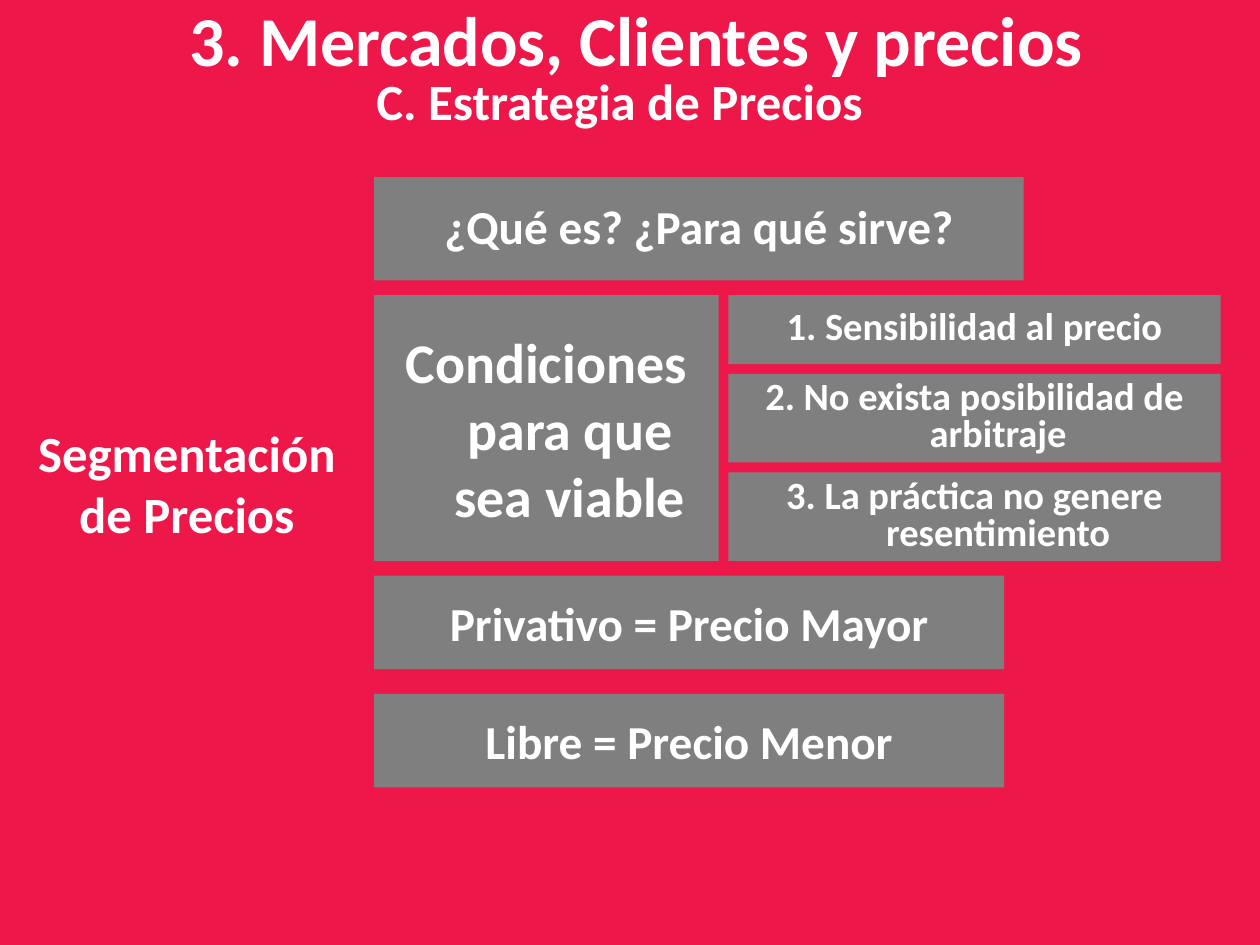
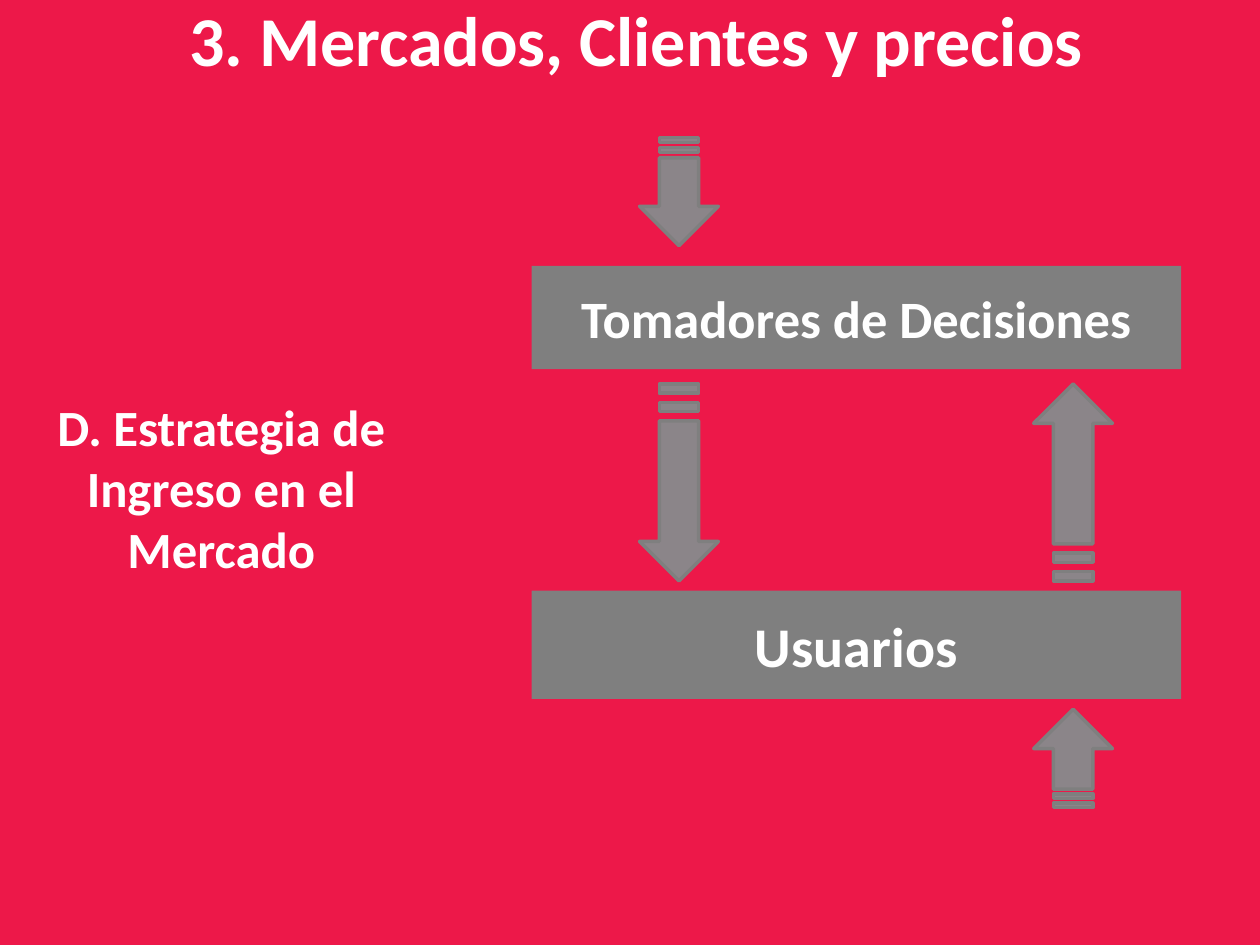
import pptx
import pptx.dml.color
import pptx.enum.shapes
import pptx.enum.text
import pptx.util

Pt = pptx.util.Pt
ANCHOR = pptx.enum.text.MSO_ANCHOR


def color(hex_value):
    return pptx.dml.color.RGBColor.from_string(hex_value)


class Deck:
    FONT = "Calibri"
    BACKGROUND = "ED1849"
    PANEL = "7F7F7F"
    ARROW = "8B8589"
    TEXT = "FFFFFF"
    TITLE_ONLY = 5
    HANGING = 27
    HEAD = 22.5

    def __init__(self):
        self.presentation = pptx.Presentation()
        self.presentation.slide_width = Pt(720)
        self.presentation.slide_height = Pt(540)
        self.paint(self.presentation.slide_master.background.fill, self.BACKGROUND)
        self.slide = None

    def paint(self, fill, hex_value):
        fill.solid()
        fill.fore_color.rgb = color(hex_value)

    def set_text(self, shape, text, size, spacing=1.0, anchor=ANCHOR.MIDDLE):
        frame = shape.text_frame
        frame.text = text
        frame.word_wrap = True
        frame.auto_size = pptx.enum.text.MSO_AUTO_SIZE.NONE
        frame.vertical_anchor = anchor
        paragraph = frame.paragraphs[0]
        paragraph.alignment = pptx.enum.text.PP_ALIGN.CENTER
        paragraph.line_spacing = spacing
        for run in paragraph.runs:
            run.font.name = self.FONT
            run.font.size = Pt(size)
            run.font.bold = True
            run.font.color.rgb = color(self.TEXT)
        return paragraph

    def add_slide(self, title):
        layout = self.presentation.slide_layouts[self.TITLE_ONLY]
        self.slide = self.presentation.slides.add_slide(layout)
        heading = self.slide.shapes.title
        heading.left, heading.top = Pt(39.6), Pt(0)
        heading.width, heading.height = Pt(648), Pt(50.4)
        self.set_text(heading, title, 40, 0.9, ANCHOR.TOP)

    def label(self, text, left, top, width, height, spacing=1.0):
        box = self.slide.shapes.add_textbox(Pt(left), Pt(top), Pt(width), Pt(height))
        self.set_text(box, text, 29, spacing)

    def panel(self, text, left, top, width, height, size, spacing=1.0):
        rectangle = self.slide.shapes.add_shape(
            pptx.enum.shapes.MSO_SHAPE.RECTANGLE,
            Pt(left), Pt(top), Pt(width), Pt(height))
        rectangle.shadow.inherit = False
        self.paint(rectangle.fill, self.PANEL)
        rectangle.line.fill.background()
        paragraph = self.set_text(rectangle, text, size, spacing)
        properties = paragraph._p.get_or_add_pPr()
        properties.set("marL", str(Pt(self.HANGING)))
        properties.set("indent", str(-Pt(self.HANGING)))

    def striped_arrow(self, center, tail, tip):
        stripe = (tip - tail) * 3 / 64
        neck = tip - self.HEAD if tip > tail else tip + self.HEAD
        left, right = center - self.HEAD / 2, center + self.HEAD / 2
        body = tail + 4 * stripe
        contours = [[(center + self.HEAD, neck), (center, tip),
                     (center - self.HEAD, neck), (left, neck),
                     (left, body), (right, body), (right, neck)]]
        for start in (tail, tail + 2 * stripe):
            end = start + stripe
            contours.append([(right, start), (left, start), (left, end), (right, end)])

        builder = None
        for contour in contours:
            first, *rest = [(Pt(x), Pt(y)) for x, y in contour]
            if builder is None:
                builder = self.slide.shapes.build_freeform(*first)
            else:
                builder.move_to(*first)
            builder.add_line_segments(rest, close=True)
        arrow = builder.convert_to_shape()
        arrow.shadow.inherit = False
        self.paint(arrow.fill, self.ARROW)
        arrow.line.color.rgb = color(self.PANEL)
        arrow.line.width = Pt(2)

    def save(self):
        self.presentation.save("out.pptx")


def price_strategy(deck, title):
    deck.add_slide(title)
    deck.label("C. Estrategia de Precios ", 5.8, 39.6, 703.4, 39.6, 0.9)
    deck.label("Segmentación de Precios", 0, 213.8, 213.8, 123.8)

    column, conditions_top = 213.8, 168.7
    deck.panel("Condiciones para que sea viable", column, conditions_top, 196.9, 151.9, 32)
    deck.panel("¿Qué es? ¿Para qué sirve?", column, 101.2, 371.2, 59, 27, 0.9)
    for row, offer in enumerate(("Privativo = Precio Mayor", "Libre = Precio Menor")):
        deck.panel(offer, column, 329 + row * 67.5, 360, 53.4, 27)

    top = conditions_top
    for condition, height in (("1. Sensibilidad al precio", 39.4),
                              ("2. No exista posibilidad de arbitraje", 50.6),
                              ("3. La práctica no genere resentimiento", 50.6)):
        deck.panel(condition, 416.2, top, 281.3, height, 22, 0.8)
        top += height + 5.6


def market_entry(deck, title):
    deck.add_slide(title)
    deck.label("D. Estrategia de Ingreso en el Mercado", 0, 219.4, 253.1, 118.1)
    deck.panel("Usuarios", 303.8, 337.5, 371.2, 61.9, 32)
    deck.panel("Tomadores de Decisiones", 303.8, 151.9, 371.2, 59, 30)

    downward, upward = 388, 613.2
    upper, lower = 219.4, 331.9
    deck.striped_arrow(downward, upper, lower)
    deck.striped_arrow(upward, lower, upper)
    deck.striped_arrow(upward, 461.5, 405.3)
    deck.striped_arrow(downward, 78.6, 140.4)


def main():
    deck = Deck()
    title = "3. Mercados, Clientes y precios"
    price_strategy(deck, title)
    market_entry(deck, title)
    deck.save()


if __name__ == "__main__":
    main()
